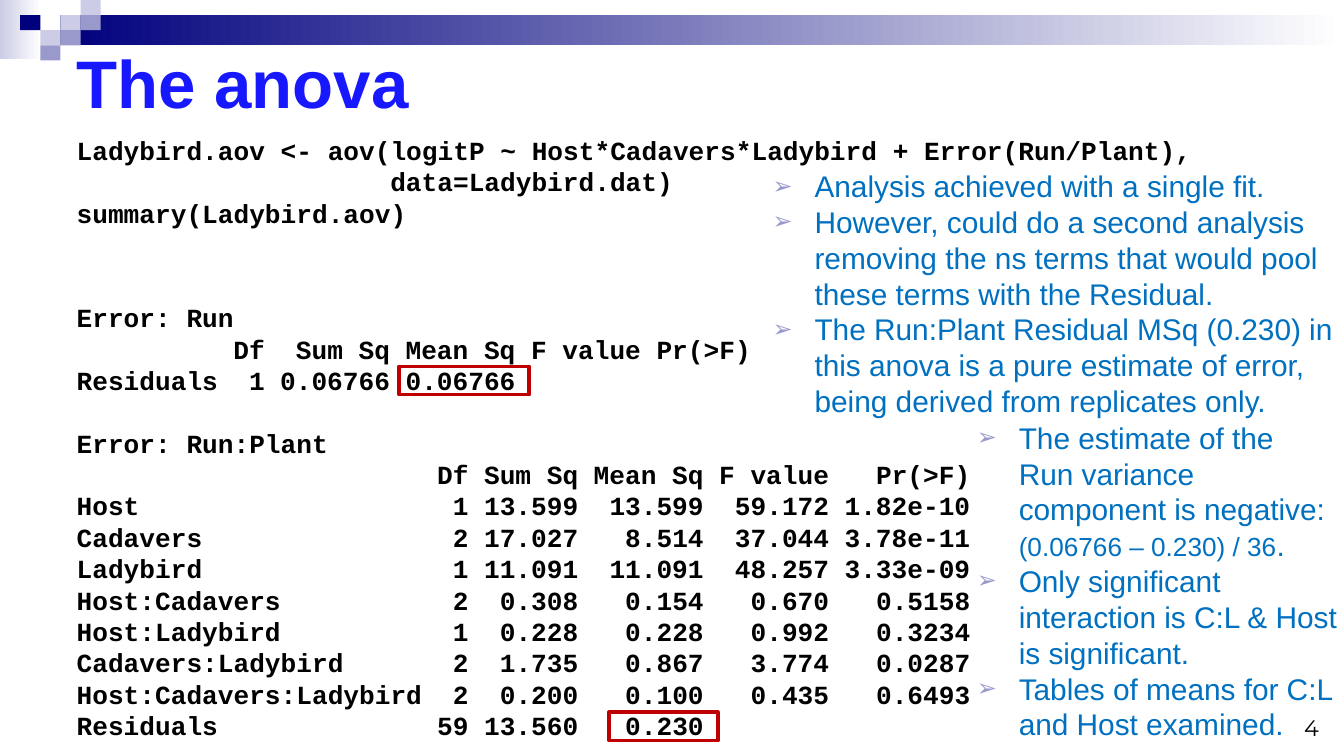
import pptx
import pptx.dml.color
import pptx.enum.shapes
import pptx.enum.text
import pptx.util
from lxml import etree

Pt = pptx.util.Pt
RGBColor = pptx.dml.color.RGBColor
PP_ALIGN = pptx.enum.text.PP_ALIGN
ANCHOR = pptx.enum.text.MSO_ANCHOR
RECTANGLE = pptx.enum.shapes.MSO_SHAPE.RECTANGLE

NAVY = RGBColor(0x00, 0x00, 0x7D)
LAVENDER = RGBColor(0x99, 0x99, 0xCC)
PALE = RGBColor(0xCC, 0xCC, 0xE6)
WHITE = RGBColor(0xFF, 0xFF, 0xFF)
BLACK = RGBColor(0x00, 0x00, 0x00)
TITLE_BLUE = RGBColor(0x18, 0x18, 0xFF)
NOTE_BLUE = RGBColor(0x00, 0x70, 0xC0)
RED = RGBColor(0xC0, 0x00, 0x00)

CHAR_WIDTH = 8.4  # one Courier New character at 14 pt
LINE_HEIGHT = 16.8

COLUMNS = ["Df", "Sum Sq", "Mean Sq", "F value", "Pr(>F)"]
RUN_STOPS = [12, 20, 28, 36, 43]  # right edges of the columns, in characters
PLANT_STOPS = [25, 32, 40, 48, 57]
RUN_ROWS = [["Residuals", "1", "0.06766", "0.06766"]]
PLANT_ROWS = [
    ["Host", "1", "13.599", "13.599", "59.172", "1.82e-10"],
    ["Cadavers", "2", "17.027", "8.514", "37.044", "3.78e-11"],
    ["Ladybird", "1", "11.091", "11.091", "48.257", "3.33e-09"],
    ["Host:Cadavers", "2", "0.308", "0.154", "0.670", "0.5158"],
    ["Host:Ladybird", "1", "0.228", "0.228", "0.992", "0.3234"],
    ["Cadavers:Ladybird", "2", "1.735", "0.867", "3.774", "0.0287"],
    ["Host:Cadavers:Ladybird", "2", "0.200", "0.100", "0.435", "0.6493"],
    ["Residuals", "59", "13.560", "0.230"],
]

FIT_NOTES = [
    [("Analysis achieved with a single fit.", 16)],
    [("However, could do a second analysis removing the ns terms that would "
      "pool these terms with the Residual.", 16)],
    [("The Run:Plant Residual MSq (0.230) in this anova is a pure estimate of "
      "error, being derived from replicates only.", 16)],
]
RESULT_NOTES = [
    [("The estimate of the\nRun variance component is negative:\n", 16),
     ("(0.06766 – 0.230) / 36", 14), (".", 16)],
    [("Only significant interaction is C:L & Host is significant.", 16)],
    [("Tables of means for C:L and Host examined.", 16)],
]


def add_rectangle(slide, left, top, width, height):
    rectangle = slide.shapes.add_shape(
        RECTANGLE, Pt(left), Pt(top), Pt(width), Pt(height))
    rectangle.shadow.inherit = False
    return rectangle


def add_text_frame(slide, left, top, width, height, anchor=ANCHOR.TOP):
    frame = slide.shapes.add_textbox(
        Pt(left), Pt(top), Pt(width), Pt(height)).text_frame
    frame.word_wrap = True
    frame.vertical_anchor = anchor
    return frame


def next_paragraph(frame):
    first = frame.paragraphs[0]
    return frame.add_paragraph() if first.runs else first


def add_run(paragraph, text, font, size, color, bold=False):
    run = paragraph.add_run()
    run.text = text
    run.font.name = font
    run.font.size = Pt(size)
    run.font.bold = bold
    run.font.color.rgb = color


def add_band(slide, left, top, width, height, start):
    band = add_rectangle(slide, left, top, width, height)
    band.line.fill.background()
    band.fill.gradient()
    band.fill.gradient_angle = 0
    for stop, color, position in zip(band.fill.gradient_stops, (start, WHITE), (0, 1)):
        stop.color.rgb = color
        stop.position = position


def add_header(slide, left, top, width):
    column, row = 10.8, 8.1
    add_band(slide, left, top, 22, 31.7, PALE)
    add_band(slide, left + 3 * column, top + row, width - 3 * column, 2 * row, NAVY)
    # Checkered corner: column, row, colour
    for x, y, color in [(3, 1, PALE), (4, 0, PALE), (4, 1, LAVENDER), (2, 2, PALE),
                        (1, 1, NAVY), (3, 2, LAVENDER), (2, 3, LAVENDER)]:
        square = add_rectangle(
            slide, left + x * column, top + y * row, column, row)
        square.fill.solid()
        square.fill.fore_color.rgb = color
        square.line.fill.background()


def add_title(slide, left, top, width, height):
    frame = add_text_frame(slide, left, top, width, height, ANCHOR.MIDDLE)
    add_run(frame.paragraphs[0], "The anova", "Arial", 36, TITLE_BLUE, bold=True)


def add_code_line(frame, text, indent=0, before=0, stops=()):
    paragraph = next_paragraph(frame)
    paragraph.line_spacing = Pt(LINE_HEIGHT)
    paragraph.space_before = Pt(before)
    properties = paragraph._p.get_or_add_pPr()
    if indent:
        properties.set("marL", str(Pt(indent * CHAR_WIDTH)))
    # LibreOffice drops tab stops when an indent is set as well
    if stops:
        tabs = etree.SubElement(properties, pptx.oxml.ns.qn("a:tabLst"))
        for stop in stops:
            etree.SubElement(tabs, pptx.oxml.ns.qn("a:tab"),
                             pos=str(Pt(stop * CHAR_WIDTH)), algn="r")
    add_run(paragraph, text, "Courier New", 14, BLACK, bold=True)


def add_stratum(frame, heading, rows, stops, before):
    add_code_line(frame, heading, before=before)
    for row in [["", *COLUMNS], *rows]:
        add_code_line(frame, "\t".join(row), stops=stops)


def add_analysis(slide, left, top, width, height):
    frame = add_text_frame(slide, left, top, width, height)
    add_code_line(frame, "Ladybird.aov <- aov(logitP ~ Host*Cadavers*Ladybird + Error(Run/Plant),")
    add_code_line(frame, "data=Ladybird.dat)", indent=20)
    add_code_line(frame, "summary(Ladybird.aov)")
    add_stratum(frame, "Error: Run", RUN_ROWS, RUN_STOPS, before=39.2)
    add_stratum(frame, "Error: Run:Plant", PLANT_ROWS, PLANT_STOPS, before=LINE_HEIGHT)


def add_bullet(paragraph):
    properties = paragraph._p.get_or_add_pPr()
    properties.set("marL", str(Pt(22.5)))
    properties.set("indent", str(-Pt(22.5)))
    color = etree.SubElement(properties, pptx.oxml.ns.qn("a:buClr"))
    etree.SubElement(color, pptx.oxml.ns.qn("a:srgbClr"), val=str(LAVENDER))
    etree.SubElement(properties, pptx.oxml.ns.qn("a:buSzPct"), val="80000")
    etree.SubElement(properties, pptx.oxml.ns.qn("a:buFont"), typeface="Arial")
    etree.SubElement(properties, pptx.oxml.ns.qn("a:buChar"), char="➢")


def add_notes(slide, notes, left, top, width, height):
    frame = add_text_frame(slide, left, top, width, height)
    for note in notes:
        paragraph = next_paragraph(frame)
        paragraph.level = 1
        paragraph.line_spacing = Pt(19.2)
        paragraph.space_before = Pt(0)
        add_bullet(paragraph)
        for text, size in note:
            for number, line in enumerate(text.split("\n")):
                if number:
                    paragraph.add_line_break()
                if line:
                    add_run(paragraph, line, "Arial", size, NOTE_BLUE)


def add_highlight(slide, left, top, width, height):
    frame = add_rectangle(slide, left, top, width, height)
    frame.fill.background()
    frame.line.color.rgb = RED
    frame.line.width = Pt(2)


def add_page_number(slide, left, top, width, height):
    frame = add_text_frame(slide, left, top, width, height, ANCHOR.BOTTOM)
    frame.paragraphs[0].alignment = PP_ALIGN.RIGHT
    add_run(frame.paragraphs[0], "4", "Montserrat", 12, BLACK)


def main():
    deck = pptx.Presentation()
    deck.slide_width, deck.slide_height = Pt(720), Pt(405)
    slide = deck.slides.add_slide(deck.slide_layouts[6])
    add_header(slide, 0, 0, 720)
    add_title(slide, 34, 25.2, 680.4, 36.7)
    add_analysis(slide, 34, 68.4, 680.4, 332)
    add_page_number(slide, 545.8, 373.3, 167.8, 27.4)
    add_notes(slide, FIT_NOTES, 406.8, 86.4, 315.4, 139.7)
    add_notes(slide, RESULT_NOTES, 516.2, 221.2, 208.1, 178.6)
    # Mean squares compared in the text
    add_highlight(slide, 213.8, 196.3, 69.8, 15.1)
    add_highlight(slide, 326.2, 381.6, 58.3, 15.1)
    deck.save("out.pptx")


if __name__ == "__main__":
    main()
